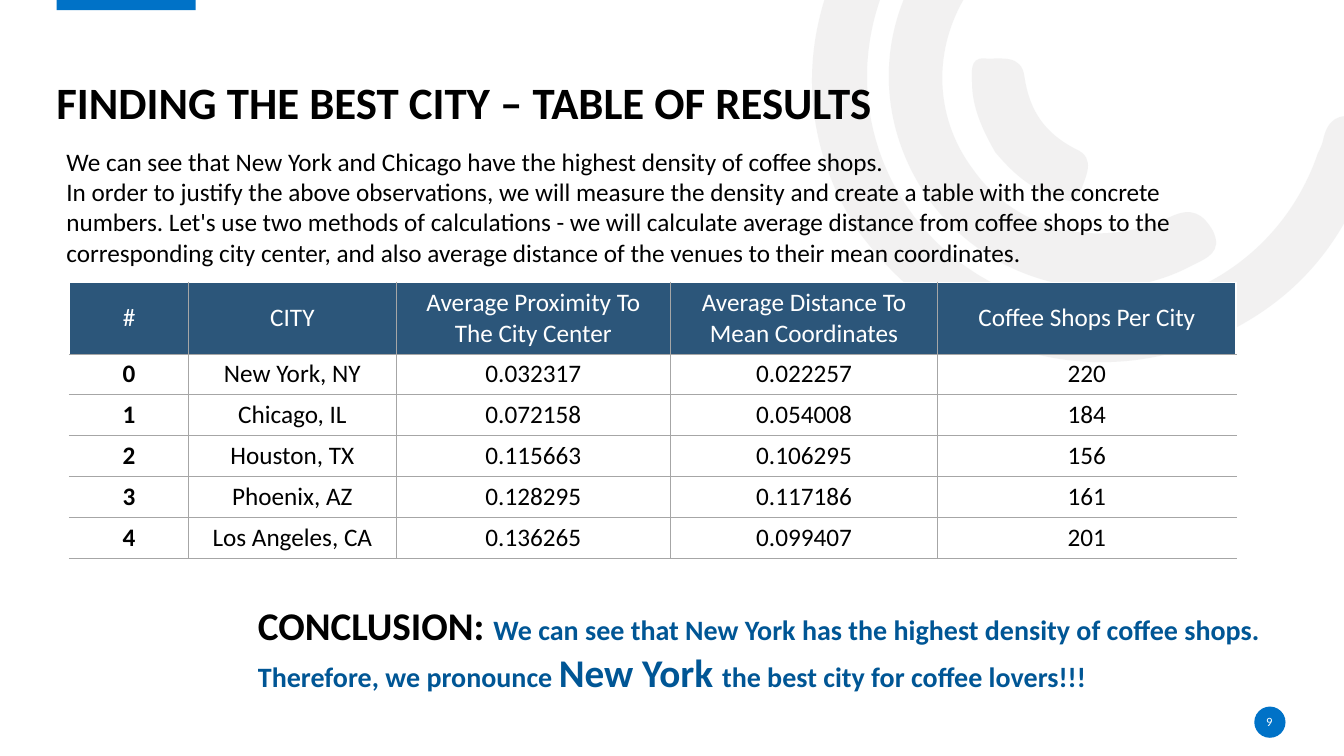
from dataclasses import dataclass
from math import cos, radians, sin

from lxml import etree
from pptx import Presentation
from pptx.dml.color import RGBColor
from pptx.enum.shapes import MSO_SHAPE
from pptx.enum.text import MSO_ANCHOR, MSO_AUTO_SIZE, PP_ALIGN
from pptx.oxml.ns import qn
from pptx.util import Emu, Pt

PX = 9144  # EMU per px, 100 px to the inch
FONT = "Calibri"
COLORS = {
    "black": "000000", "white": "FFFFFF", "accent": "0072C7", "header": "2C567A",
    "conclusion": "005695", "grid": "A6A6A6", "handset": "E7E6E6",
}
LEFT, CENTER = PP_ALIGN.LEFT, PP_ALIGN.CENTER
TOP, MIDDLE, BOTTOM = MSO_ANCHOR.TOP, MSO_ANCHOR.MIDDLE, MSO_ANCHOR.BOTTOM
RECTANGLE, OVAL = MSO_SHAPE.RECTANGLE, MSO_SHAPE.OVAL
HANDSET_OPACITY = 53
HANDSET_ANGLE = 144.2
Area = tuple[int, int, int, int]


@dataclass(frozen=True)
class Span:
    text: str
    size: int
    color: str = "black"
    bold: bool = False


@dataclass(frozen=True)
class TextBlock:
    area: Area
    paras: list[list[Span]]
    align: PP_ALIGN = LEFT
    anchor: MSO_ANCHOR = TOP
    inset: bool = True
    line_spacing: float = 1.0


@dataclass(frozen=True)
class Accent:
    kind: MSO_SHAPE
    area: Area
    angle: int = 0


@dataclass(frozen=True)
class Curve:
    """Points as they lie on the page: a start, then triples of cubic curve points."""
    area: Area
    points: list[tuple[int, int]]


HANDSET_CURVES = [
    Curve((813, -202, 485, 600), [
        (851, 229), (799, 149), (787, 50), (838, -50), (890, -152), (976, -203), (1090, -207),
        (1105, -207), (1121, -210), (1131, -195), (1144, -175), (1127, -154), (1098, -154),
        (967, -154), (865, -59), (860, 68), (856, 181), (936, 281), (1046, 302),
        (1160, 324), (1270, 261), (1307, 152), (1309, 148), (1311, 144), (1312, 140),
        (1316, 119), (1327, 111), (1349, 117), (1373, 124), (1367, 141), (1361, 156),
        (1334, 245), (1278, 307), (1191, 341), (1070, 387), (936, 345), (851, 229)]),
    Curve((901, -78, 213, 426), [
        (922, 199), (862, 115), (869, 7), (940, -68), (951, -79), (962, -95), (980, -78),
        (995, -64), (997, -50), (979, -32), (925, 26), (920, 108), (965, 168),
        (1008, 229), (1088, 249), (1161, 215), (1182, 205), (1193, 212), (1203, 229),
        (1213, 250), (1197, 256), (1183, 263), (1096, 310), (983, 282), (922, 199)]),
    Curve((980, 37, 78, 183), [
        (987, 151), (975, 130), (964, 107), (964, 82), (964, 73), (961, 57), (976, 58),
        (992, 59), (1013, 53), (1016, 76), (1021, 110), (1036, 132), (1067, 148),
        (1088, 157), (1076, 176), (1072, 189), (1068, 206), (1055, 198), (1045, 194),
        (1021, 187), (1003, 170), (987, 151)]),
]

ACCENTS = [Accent(RECTANGLE, (56, -2, 138, 12), 180), Accent(OVAL, (1244, 701, 31, 31))]

TEXT_BLOCKS = [
    TextBlock((56, 27, 1219, 101),
              [[Span("FINDING THE BEST CITY – TABLE OF RESULTS", 32, bold=True)]],
              anchor=BOTTOM, inset=False, line_spacing=0.9),
    TextBlock((1243, 706, 32, 20), [[Span("9", 9, "white")]], CENTER, MIDDLE, inset=False),
    TextBlock((56, 140, 1142, 222), [
        [Span("We can see that New York and Chicago have the highest density of coffee shops.", 18)],
        [Span("In order to justify the above observations, we will measure the density and create "
              "a table with the concrete numbers. Let's use two methods of calculations - we will "
              "calculate average distance from coffee shops to the corresponding city center, and "
              "also average distance of the venues to their mean coordinates.", 18)],
    ]),
    TextBlock((246, 592, 1146, 151), [
        [Span("CONCLUSION: ", 28, bold=True),
         Span("We can see that New York has the highest density of coffee shops.",
              20, "conclusion", True)],
        [Span("Therefore, we pronounce ", 20, "conclusion", True),
         Span("New York ", 28, "conclusion", True),
         Span("the best city for coffee lovers!!!", 20, "conclusion", True)],
    ]),
]

TABLE_AREA = (69, 280, 1157, 273)
COLUMN_WIDTHS = [118, 206, 272, 265, 296]
HEADER_HEIGHT, ROW_HEIGHT = 65, 40
TABLE_ROWS = [
    ("#", "CITY", "Average Proximity To The City Center",
     "Average Distance To Mean Coordinates", "Coffee Shops Per City"),
    ("0", "New York, NY", "0.032317", "0.022257", "220"),
    ("1", "Chicago, IL", "0.072158", "0.054008", "184"),
    ("2", "Houston, TX", "0.115663", "0.106295", "156"),
    ("3", "Phoenix, AZ", "0.128295", "0.117186", "161"),
    ("4", "Los Angeles, CA", "0.136265", "0.099407", "201"),
]


def px(length: float) -> Emu:
    return Emu(round(length * PX))


def rgb(name: str) -> RGBColor:
    return RGBColor.from_string(COLORS[name])


def paint(shape, color: str) -> None:
    shape.shadow.inherit = False
    shape.fill.solid()
    shape.fill.fore_color.rgb = rgb(color)
    shape.line.fill.background()


def add_spans(para, spans: list[Span]) -> None:
    for span in spans:
        run = para.add_run()
        run.text = span.text
        run.font.name = FONT
        run.font.size = Pt(span.size)
        run.font.bold = span.bold
        run.font.color.rgb = rgb(span.color)


def unrotated(curve: Curve) -> list[tuple[Emu, Emu]]:
    """Turn page points back into the frame of the shape before its rotation."""
    left, top, width, height = curve.area
    c, s = cos(radians(HANDSET_ANGLE)), sin(radians(HANDSET_ANGLE))
    offsets = [(x - left - width / 2, y - top - height / 2) for x, y in curve.points]
    return [(px(width / 2 + x * c + y * s), px(height / 2 - x * s + y * c)) for x, y in offsets]


def draw_curve(page, curve: Curve) -> None:
    points = unrotated(curve)
    builder = page.shapes.build_freeform(*points[0])
    builder.add_line_segments(points[1:])
    shape = builder.convert_to_shape()
    shape.left, shape.top, shape.width, shape.height = map(px, curve.area)
    shape.rotation = HANDSET_ANGLE
    paint(shape, "handset")
    tint = next(shape._element.spPr.iter(qn("a:srgbClr")))
    etree.SubElement(tint, qn("a:alpha"), val=str(HANDSET_OPACITY * 1000))
    # Swap the straight segments for cubic ones
    outline = next(shape._element.iter(qn("a:path")))
    for segment in list(outline):
        outline.remove(segment)
    outline.set("w", str(shape.width))
    outline.set("h", str(shape.height))
    for i, (x, y) in enumerate(points):
        if i == 0:
            segment = etree.SubElement(outline, qn("a:moveTo"))
        elif i % 3 == 1:
            segment = etree.SubElement(outline, qn("a:cubicBezTo"))
        etree.SubElement(segment, qn("a:pt"), x=str(x), y=str(y))
    etree.SubElement(outline, qn("a:close"))


def draw_text(page, block: TextBlock) -> None:
    frame = page.shapes.add_textbox(*map(px, block.area)).text_frame
    frame.word_wrap = True
    frame.vertical_anchor = block.anchor
    if block.inset:
        frame.auto_size = MSO_AUTO_SIZE.SHAPE_TO_FIT_TEXT
    else:
        frame.margin_left = frame.margin_right = frame.margin_top = frame.margin_bottom = 0
    for i, spans in enumerate(block.paras):
        para = frame.paragraphs[0] if i == 0 else frame.add_paragraph()
        para.alignment = block.align
        para.line_spacing = block.line_spacing
        add_spans(para, spans)


def set_border(cell, side: str, outer: bool) -> None:
    width, color = (Pt(1), "white") if outer else (Pt(0.5), "grid")
    line = etree.SubElement(cell._tc.get_or_add_tcPr(), qn(f"a:ln{side}"), w=str(width))
    fill = etree.SubElement(line, qn("a:solidFill"))
    etree.SubElement(fill, qn("a:srgbClr"), val=COLORS[color])


def draw_table(page) -> None:
    holder = page.shapes.add_table(len(TABLE_ROWS), len(COLUMN_WIDTHS), *map(px, TABLE_AREA))
    table = holder.table
    table.first_row = table.horz_banding = False
    for column, width in zip(table.columns, COLUMN_WIDTHS):
        column.width = px(width)
    for r, texts in enumerate(TABLE_ROWS):
        header = r == 0
        table.rows[r].height = px(HEADER_HEIGHT if header else ROW_HEIGHT)
        for c, text in enumerate(texts):
            cell = table.cell(r, c)
            outer_sides = {"L": c == 0, "R": c == len(texts) - 1, "T": header, "B": False}
            for side, outer in outer_sides.items():
                set_border(cell, side, outer)
            if header:
                cell.fill.solid()
                cell.fill.fore_color.rgb = rgb("header")
            else:
                cell.fill.background()
            cell.vertical_anchor = MIDDLE
            para = cell.text_frame.paragraphs[0]
            para.alignment = CENTER
            color = "white" if header else "black"
            add_spans(para, [Span(text, 18, color, bold=c == 0 and not header)])
    holder.height = px(TABLE_AREA[3])


def main() -> None:
    deck = Presentation()
    deck.slide_width, deck.slide_height = px(1333), px(750)
    page = deck.slides.add_slide(deck.slide_layouts[6])
    # Background and accents
    for curve in HANDSET_CURVES:
        draw_curve(page, curve)
    for accent in ACCENTS:
        shape = page.shapes.add_shape(accent.kind, *map(px, accent.area))
        shape.rotation = accent.angle
        paint(shape, "accent")
    # Results and text
    draw_table(page)
    for block in TEXT_BLOCKS:
        draw_text(page, block)
    deck.save("out.pptx")


if __name__ == "__main__":
    main()
